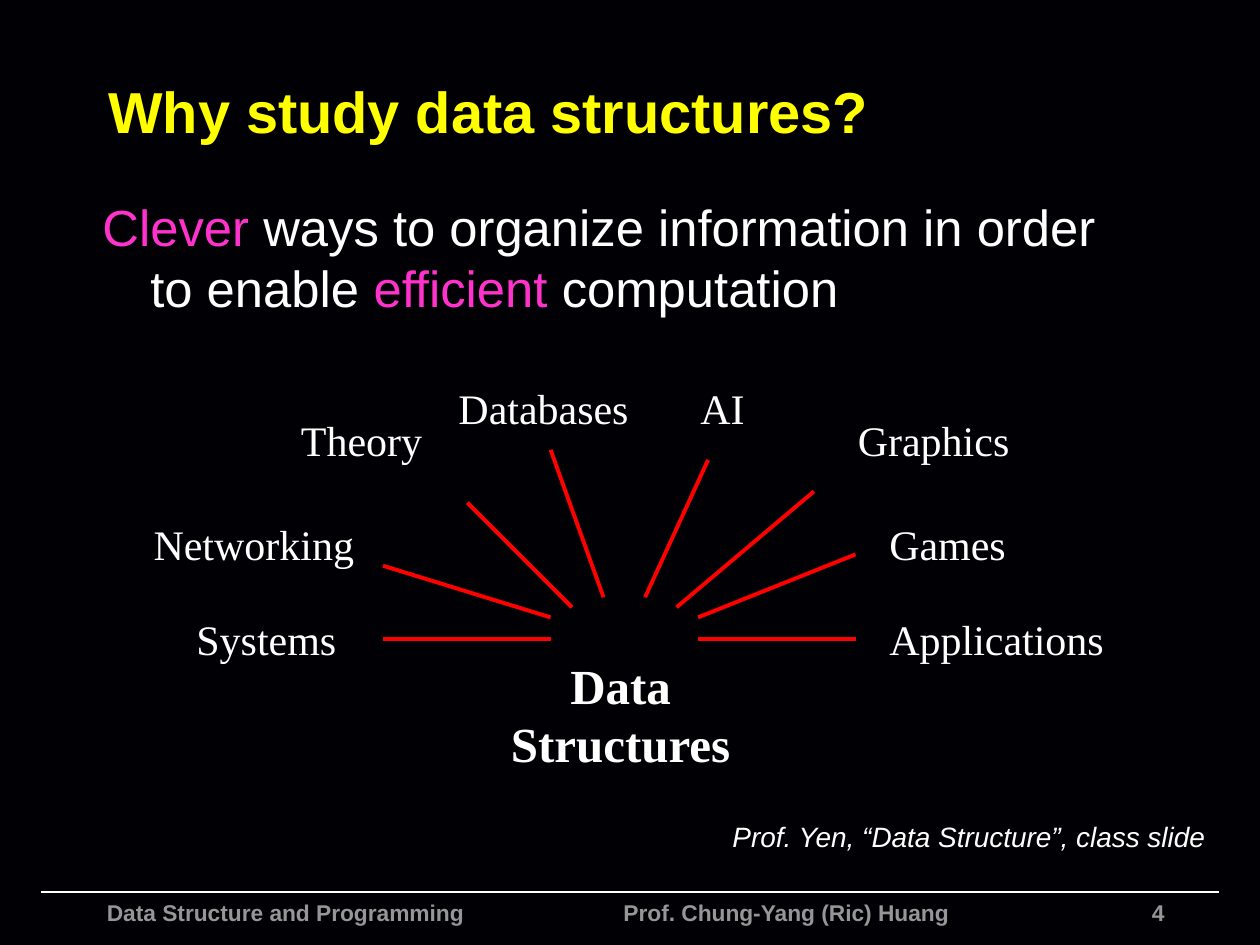
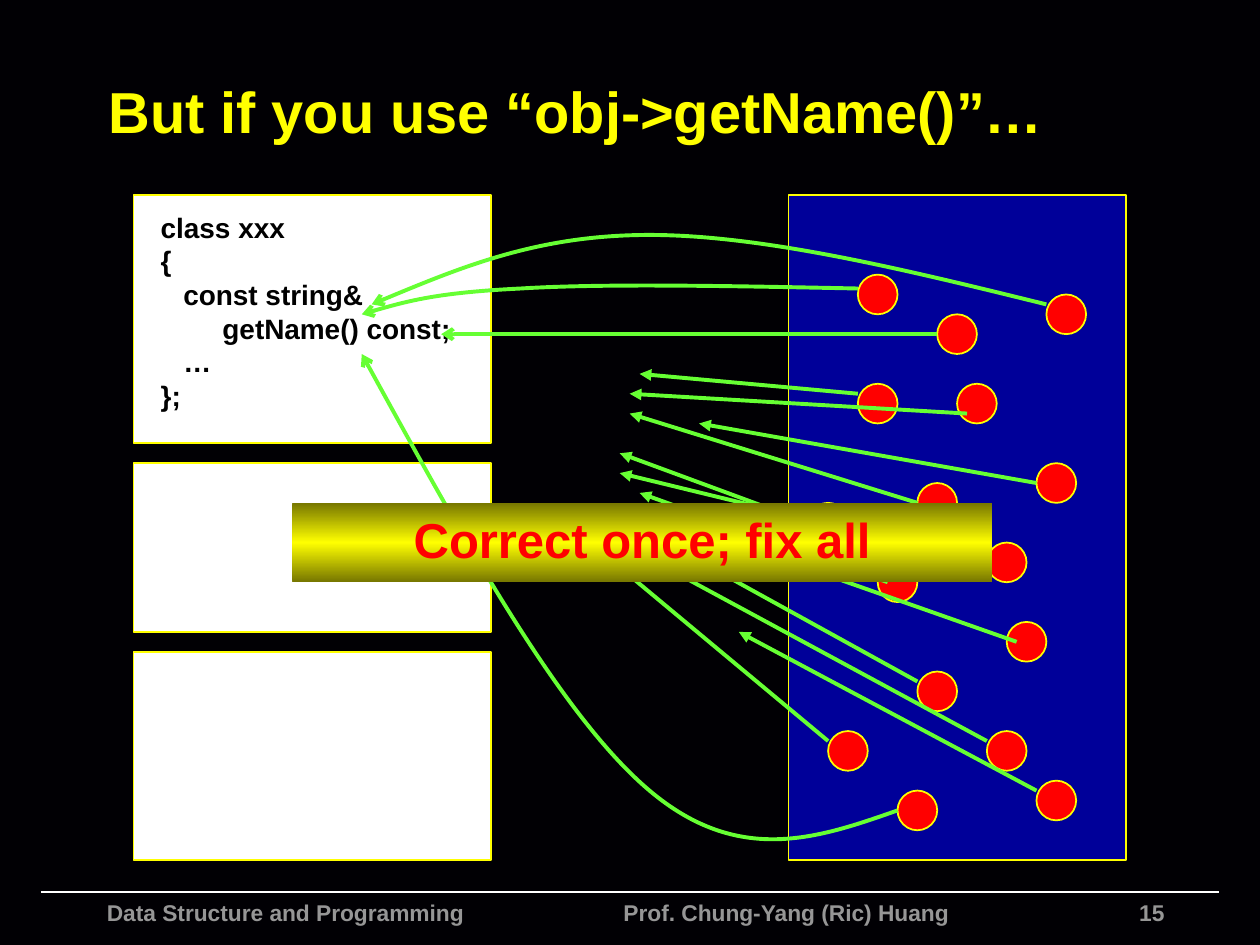
from copy import deepcopy

from lxml import etree
from pptx import Presentation
from pptx import util as u
from pptx.dml.color import RGBColor
from pptx.enum import shapes, text
from pptx.oxml.ns import qn

NIGHT = RGBColor(0x01, 0x00, 0x04)
BLACK = RGBColor(0x00, 0x00, 0x00)
WHITE = RGBColor(0xFF, 0xFF, 0xFF)
GREY = RGBColor(0x96, 0x96, 0x96)
YELLOW = RGBColor(0xFF, 0xFF, 0x00)
OLIVE = RGBColor(0x76, 0x76, 0x00)
PINK = RGBColor(0xFF, 0x33, 0xCC)
RED = RGBColor(0xFF, 0x00, 0x00)
BLUE = RGBColor(0x00, 0x00, 0x99)
GREEN = RGBColor(0x66, 0xFF, 0x33)

SANS, SERIF = "Arial", "Times New Roman"
LEFT, CENTER, RIGHT = text.PP_ALIGN.LEFT, text.PP_ALIGN.CENTER, text.PP_ALIGN.RIGHT
TOP, MIDDLE = text.MSO_ANCHOR.TOP, text.MSO_ANCHOR.MIDDLE
RECTANGLE, OVAL = shapes.MSO_SHAPE.RECTANGLE, shapes.MSO_SHAPE.OVAL

PAGE_GRID = (0, 0, 0.1)
MEMORY_GRID = (1.06, 1.55, 0.1575)

FIELDS = [
    ("Systems", 14.6, 48.2, 13.1), ("Theory", 22.9, 32.4, 11.6),
    ("AI", 54.6, 29.9, 5.5), ("Graphics", 67.1, 32.4, 14),
    ("Applications", 69.6, 48.2, 19), ("Databases", 35.4, 29.9, 15.5),
    ("Networking", 11.2, 40.7, 18.1), ("Games", 69.6, 40.7, 11.3),
]
RAYS = [
    ((47.9, 47.4), (43.7, 35.7)), ((53.7, 48.2), (64.6, 39)),
    ((45.4, 48.2), (37.1, 39.9)), ((43.7, 50.7), (30.4, 50.7)),
    ((55.4, 50.7), (67.9, 50.7)), ((51.2, 47.4), (56.2, 36.5)),
    ((43.7, 49), (30.4, 44.9)), ((55.4, 49), (67.9, 44)),
]
OBJECTS = [
    (36.5, 4), (40.5, 6), (36.5, 9.5), (46, 5), (41.5, 9.5), (45.5, 13.5),
    (39.5, 14.5), (34, 15.5), (43, 17.5), (37.5, 18.5), (44, 21.5),
    (39.5, 24), (35, 27), (43, 27), (38.5, 30), (45.5, 29.5),
]
CLASS_BOXES = [(0, 12.5), (13.5, 8.5), (23, 10.5)]
CODE_LINES = [("class xxx", 0), ("{", 0), ("const string&", 0.18),
              ("getName() const;", 0.49), ("…", 0.18), ("};", 0)]
CURVED_CALLS = [
    [(36.5, 4.7), (30.1, 4.57), (23.7, 4.44), (19.5, 4.7),
     (15.4, 4.9), (13.5, 5.4), (11.5, 6)],
    [(46, 5.5), (38.9, 3.75), (31.7, 2), (26, 2), (20.4, 2), (16.2, 3.75), (12, 5.5)],
    [(38.5, 31), (34.5, 32.4), (30.5, 33.8), (26, 30),
     (21.5, 26.2), (16.5, 17.1), (11.5, 8)],
]
STRAIGHT_CALLS = [
    ((36.5, 10), (25.5, 9)), ((42, 11), (25, 10)), ((39.5, 15.5), (25, 11)),
    ((45.5, 14.5), (28.5, 11.5)), ((34, 16.5), (24.5, 13)),
    ((43, 18.5), (24.5, 14)), ((38, 19.5), (25.5, 15)),
    ((44.5, 22.5), (26, 16)), ((39.5, 24.5), (25, 16.5)),
    ((43, 27.5), (24.5, 17.5)), ((35, 27.5), (23, 17.5)),
    ((45.5, 30), (30.5, 22)),
]


def write(frame, paragraphs, *, size, color=WHITE, font=SANS, bold=False, italic=False,
          align=LEFT, anchor=TOP, wrap=True, inset=0.1, indents=(), hanging=0):
    """Fill a text frame; a paragraph is a string or a list of (words, colour) spans."""
    frame.auto_size = text.MSO_AUTO_SIZE.NONE
    frame.word_wrap, frame.vertical_anchor = wrap, anchor
    frame.margin_left = frame.margin_right = u.Inches(inset)
    frame.margin_top = frame.margin_bottom = u.Inches(0.05)
    for index, content in enumerate(paragraphs):
        para = frame.add_paragraph() if index else frame.paragraphs[0]
        para.alignment = align
        properties = para._p.get_or_add_pPr()
        properties.set("marL", str(u.Inches(indents[index] if indents else hanging)))
        properties.set("indent", str(u.Inches(-hanging)))
        spans = [(content, color)] if isinstance(content, str) else content
        for words, tint in spans:
            span = para.add_run()
            span.text = words
            span.font.name, span.font.size = font, u.Pt(size)
            span.font.bold, span.font.italic = bold, italic
            span.font.color.rgb = tint


class Sheet:
    """Holds the deck's style and the slide being drawn."""

    def __init__(self, deck):
        """Give the whole deck its background."""
        self.deck = deck
        background = deck.slide_master.background.fill
        background.solid()
        background.fore_color.rgb = NIGHT

    def start(self, title, number):
        """Begin a titled slide with its footer."""
        self.page = self.deck.slides.add_slide(self.deck.slide_layouts[5])
        self.grid = PAGE_GRID
        heading = self.page.shapes.title
        heading.left, heading.top, heading.width, heading.height = self.area(7.6, 3.7, 88.4, 10.1)
        write(heading.text_frame, [title], size=33, color=YELLOW, bold=True, anchor=MIDDLE)
        self.line((3.25, 70.8), (96.75, 70.8), WHITE, 1)
        footer = dict(size=13, color=GREY, bold=True)
        self.label(61.7, 70.8, 31.7, 1.8, [str(number)], align=RIGHT, **footer)
        self.label(7.5, 70.8, 36, 4.2, ["Data Structure and Programming"], **footer)
        self.label(48.5, 70.8, 31.4, 4.2, ["Prof. Chung-Yang (Ric) Huang"], **footer)

    def point(self, column, row):
        """Place a grid position on the slide."""
        left, top, cell = self.grid
        return u.Inches(left + column * cell), u.Inches(top + row * cell)

    def area(self, column, row, columns, rows):
        """Turn grid cells into left, top, width and height."""
        cell = self.grid[2]
        return *self.point(column, row), u.Inches(columns * cell), u.Inches(rows * cell)

    def label(self, column, row, columns, rows, paragraphs, **style):
        """Add a text box."""
        box = self.page.shapes.add_textbox(*self.area(column, row, columns, rows))
        write(box.text_frame, paragraphs, **style)

    def shape(self, kind, column, row, columns, rows, fill):
        """Add a filled shape with a thin yellow outline."""
        box = self.page.shapes.add_shape(kind, *self.area(column, row, columns, rows))
        box.shadow.inherit = False
        box.fill.solid()
        box.fill.fore_color.rgb = fill
        box.line.color.rgb, box.line.width = YELLOW, u.Pt(1)
        return box

    def banner(self, column, row, columns, rows, words):
        """Add a bar that shines in the middle."""
        box = self.shape(RECTANGLE, column, row, columns, rows, YELLOW)
        box.line.fill.background()
        box.fill.gradient()
        box.fill.gradient_angle = 90
        for stop, tint, position in zip(box.fill.gradient_stops, (OLIVE, YELLOW), (0, 0.5)):
            stop.color.rgb, stop.position = tint, position
        stops = box._element.spPr.find(".//" + qn("a:gsLst"))
        last = deepcopy(stops[0])
        last.set("pos", "100000")
        stops.append(last)
        write(box.text_frame, [words], size=28, color=RED, bold=True, align=CENTER, inset=0.05)

    def stroke(self, item, color, width, head):
        """Format a line and give its end an arrowhead."""
        item.line.color.rgb, item.line.width = color, u.Pt(width)
        if head:
            etree.SubElement(item.line._get_or_add_ln(), qn("a:tailEnd"), type=head)

    def line(self, start, end, color, width=2.25, head=None):
        """Add a straight line or arrow."""
        item = self.page.shapes.add_connector(
            shapes.MSO_CONNECTOR.STRAIGHT, *self.point(*start), *self.point(*end))
        self.stroke(item, color, width, head)
        etree.SubElement(item._element.spPr, qn("a:effectLst"))

    def curve(self, points, color, width=2.25, head="arrow"):
        """Add a curved arrow through a chain of cubic segments."""
        track = [self.point(*spot) for spot in points]
        builder = self.page.shapes.build_freeform(*track[0])
        builder.add_line_segments(track[1:], close=False)
        item = builder.convert_to_shape()
        segments = item._element.spPr.findall(".//" + qn("a:lnTo"))
        outline = segments[0].getparent()
        for first in range(0, len(segments), 3):
            bend = etree.SubElement(outline, qn("a:cubicBezTo"))
            for segment in segments[first:first + 3]:
                bend.append(segment[0])
                outline.remove(segment)
        item.shadow.inherit = False
        item.fill.background()
        self.stroke(item, color, width, head)


def draw_motivation(sheet):
    """Show the fields that rest on data structures."""
    sheet.start("Why study data structures?", 4)
    sheet.label(7.15, 15.05, 85, 13.4, [[
        ("Clever", PINK), (" ways to organize information in order to enable ", WHITE),
        ("efficient", PINK), (" computation", WHITE)]], size=29, hanging=0.38)
    for name, column, row, columns in FIELDS:
        sheet.label(column, row, columns, 5, [name], size=24, font=SERIF, wrap=False)
    for start, end in RAYS:
        sheet.line(start, end, RED)
    sheet.label(39.5, 51.5, 19.5, 10.3, ["Data", "Structures"],
                size=28, font=SERIF, bold=True, align=CENTER, wrap=False)
    sheet.label(57.5, 64.55, 38.8, 3.7, ["Prof. Yen, “Data Structure”, class slide"],
                size=16, italic=True, align=CENTER, wrap=False, inset=0.05)


def draw_accessor(sheet):
    """Show many objects calling one accessor."""
    sheet.start("But if you use “obj->getName()”…", 15)
    sheet.grid = MEMORY_GRID
    sheet.shape(RECTANGLE, 33, 0, 17, 33.5, BLUE)
    for column, row in OBJECTS:
        sheet.shape(OVAL, column, row, 2, 2, RED)
    for row, rows in CLASS_BOXES:
        sheet.shape(RECTANGLE, 0, row, 18, rows, WHITE)
    code, indents = zip(*CODE_LINES)
    sheet.label(1.05, 0.45, 16, 10.8, code, size=16, color=BLACK, bold=True,
                inset=0.05, indents=indents)
    for points in CURVED_CALLS:
        sheet.curve(points, GREEN)
    sheet.line((40.5, 7), (15.5, 7), GREEN, head="arrow")
    for start, end in STRAIGHT_CALLS:
        sheet.line(start, end, GREEN, head="triangle")
    sheet.banner(8, 15.5, 35.25, 4, "Correct once; fix all")


def main():
    """Build and save the deck."""
    deck = Presentation()
    deck.slide_width, deck.slide_height = u.Inches(10), u.Inches(7.5)
    sheet = Sheet(deck)
    draw_motivation(sheet)
    draw_accessor(sheet)
    deck.save("out.pptx")


if __name__ == "__main__":
    main()
